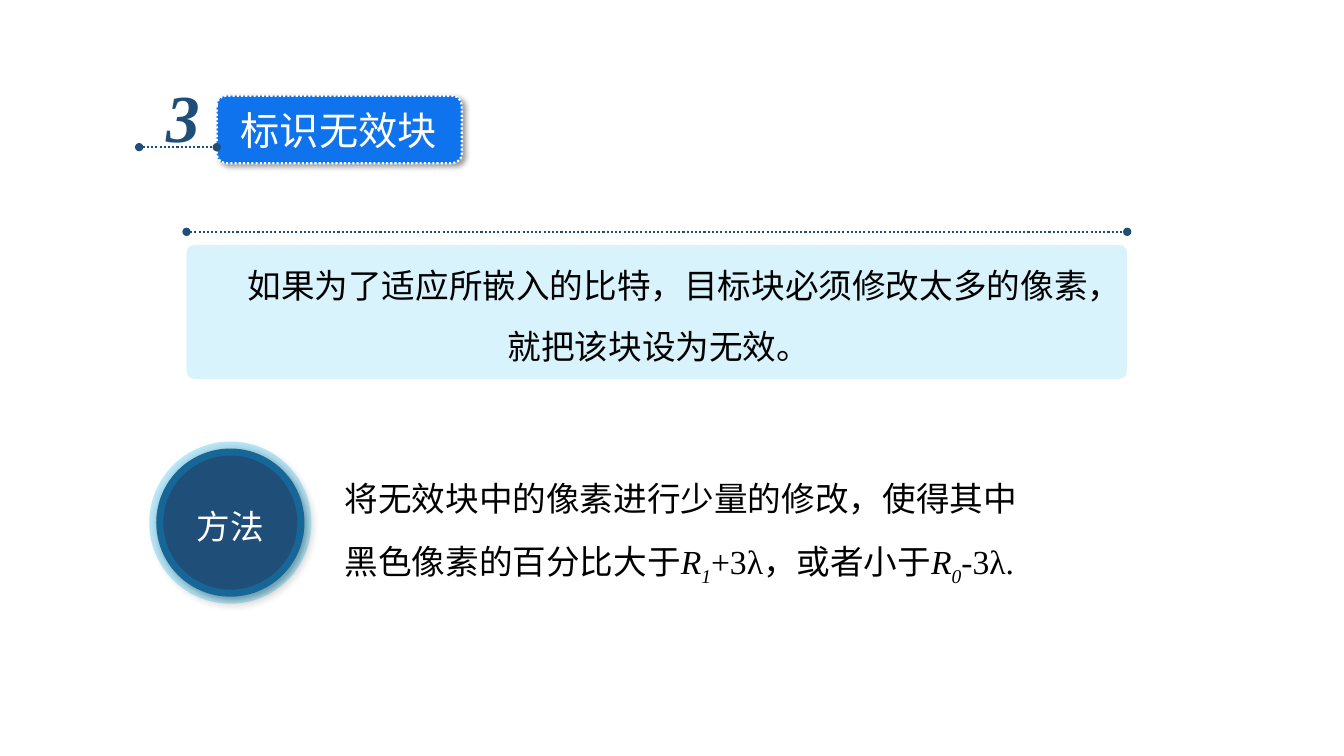
"""Build the slide on marking invalid blocks."""
from pptx import Presentation
from pptx.dml.color import RGBColor
from pptx.enum.dml import MSO_LINE_DASH_STYLE as Dash
from pptx.enum.shapes import MSO_CONNECTOR as Connector, MSO_SHAPE as Preset
from pptx.enum.text import MSO_AUTO_SIZE as AutoSize, PP_ALIGN as Align
from pptx.oxml.ns import qn
from pptx.oxml.xmlchemy import OxmlElement
from pptx.util import Inches, Pt

NAVY = RGBColor(0x1F, 0x4E, 0x79)
BLUE = RGBColor(0x0F, 0x73, 0xEE)
CYAN = RGBColor(0x00, 0xB0, 0xF0)
WHITE = RGBColor(0xFF, 0xFF, 0xFF)
BLACK = RGBColor(0x00, 0x00, 0x00)
SANS, SERIF = "Noto Sans CJK SC", "Times New Roman"

PANELS = [
    dict(preset=Preset.ROUNDED_RECTANGLE, box=(2.15, 0.95, 2.43, 0.67), corner=0.14,
         fill=BLUE, line=(WHITE, 1.5, Dash.ROUND_DOT, 100), shadow=True),
    dict(preset=Preset.ROUNDED_RECTANGLE, box=(1.85, 2.43, 9.33, 1.33), corner=0.06,
         fill=CYAN, opacity=15),
    dict(preset=Preset.OVAL, box=(1.55, 4.45, 1.47, 1.47),
         fill=NAVY, line=(CYAN, 10, Dash.SOLID, 25), shadow=True),
]
RULES = [(1.38, 2.15, 1.46), (1.85, 11.18, 2.3)]

PLAIN, ITALIC, SUBSCRIPT = {}, {"italic": True}, {"italic": True, "baseline": -25}
HEADING = dict(size=Pt(28), name=SANS, color=WHITE)
NUMBER = dict(size=Pt(48), name=SERIF, color=NAVY, bold=True, italic=True)
BODY = dict(size=Pt(24), name=SERIF, color=BLACK)
BADGE = dict(size=Pt(24), name=SANS, color=WHITE)
TEXTS = [
    ((2.29, 1.01, 2.17, 0.57), False, HEADING, {}, [("标识无效块", PLAIN)]),
    ((1.55, 0.7, 0.54, 0.91), False, NUMBER, {}, [("3", PLAIN)]),
    ((2.09, 2.38, 8.89, 1.25), True, BODY,
     dict(alignment=Align.CENTER, line_spacing=1.5, indent=0.17),
     [("如果为了适应所嵌入的比特，目标块必须修改太多的像素，就把该块设为无效。", PLAIN)]),
    ((3.32, 4.49, 7.09, 1.31), True, BODY, dict(line_spacing=1.5),
     [("将无效块中的像素进行少量的修改，使得其中黑色像素的百分比大于", PLAIN),
      ("R", ITALIC), ("1", SUBSCRIPT), ("+3λ，或者小于", PLAIN),
      ("R", ITALIC), ("0", SUBSCRIPT), ("-3λ.", PLAIN)]),
    ((1.85, 4.97, 0.88, 0.5), False, BADGE, {}, [("方法", PLAIN)]),
]


def add_element(parent, tag, **attributes):
    element = OxmlElement(tag)
    for key, value in attributes.items():
        element.set(key, str(value))
    parent.append(element)
    return element


def set_opacity(parent, percent):
    add_element(parent.find(qn("a:solidFill"))[0], "a:alpha", val=percent * 1000)


def add_panel(slide, preset, box, fill, corner=None, opacity=100, line=None, shadow=False):
    panel = slide.shapes.add_shape(preset, *map(Inches, box))
    properties = panel._element.spPr
    if corner is not None:
        panel.adjustments[0] = corner
    panel.fill.solid()
    panel.fill.fore_color.rgb = fill
    set_opacity(properties, opacity)
    if line:
        color, width, dash, line_opacity = line
        panel.line.color.rgb = color
        panel.line.width = Pt(width)
        panel.line.dash_style = dash
        set_opacity(properties.find(qn("a:ln")), line_opacity)
    else:
        panel.line.fill.background()
    panel.shadow.inherit = False
    if shadow:
        outer = add_element(properties.find(qn("a:effectLst")), "a:outerShdw",
                            blurRad=Pt(4), dist=Pt(3), dir=45 * 60000,
                            algn="tl", rotWithShape=0)
        black = add_element(outer, "a:srgbClr", val=BLACK)
        add_element(black, "a:alpha", val=40000)


def add_rule(slide, left, right, y):
    rule = slide.shapes.add_connector(Connector.STRAIGHT, *map(Inches, (left, y, right, y)))
    rule.line.color.rgb = NAVY
    rule.line.width = Pt(1.5)
    rule.line.dash_style = Dash.ROUND_DOT
    properties = rule._element.spPr
    for end in ("a:headEnd", "a:tailEnd"):
        add_element(properties.find(qn("a:ln")), end, type="oval")
    add_element(properties, "a:effectLst")


def add_text(slide, box, wrap, style, layout, pieces):
    frame = slide.shapes.add_textbox(*map(Inches, box)).text_frame
    frame.word_wrap = wrap
    frame.auto_size = AutoSize.SHAPE_TO_FIT_TEXT
    paragraph = frame.paragraphs[0]
    for key, value in layout.items():
        if key == "indent":
            paragraph._p.get_or_add_pPr().set("indent", str(Inches(value)))
        else:
            setattr(paragraph, key, value)
    for words, accent in pieces:
        run = paragraph.add_run()
        run.text = words
        for key, value in {**style, **accent}.items():
            if key == "color":
                run.font.color.rgb = value
            elif key == "baseline":
                run._r.get_or_add_rPr().set("baseline", str(value * 1000))
            else:
                setattr(run.font, key, value)
        add_element(run._r.get_or_add_rPr(), "a:ea", typeface=SANS)


def main():
    deck = Presentation()
    deck.slide_width, deck.slide_height = Inches(13.33), Inches(7.5)
    slide = deck.slides.add_slide(deck.slide_layouts[6])
    for panel in PANELS:
        add_panel(slide, **panel)
    for rule in RULES:
        add_rule(slide, *rule)
    for text in TEXTS:
        add_text(slide, *text)
    deck.save("out.pptx")


if __name__ == "__main__":
    main()
